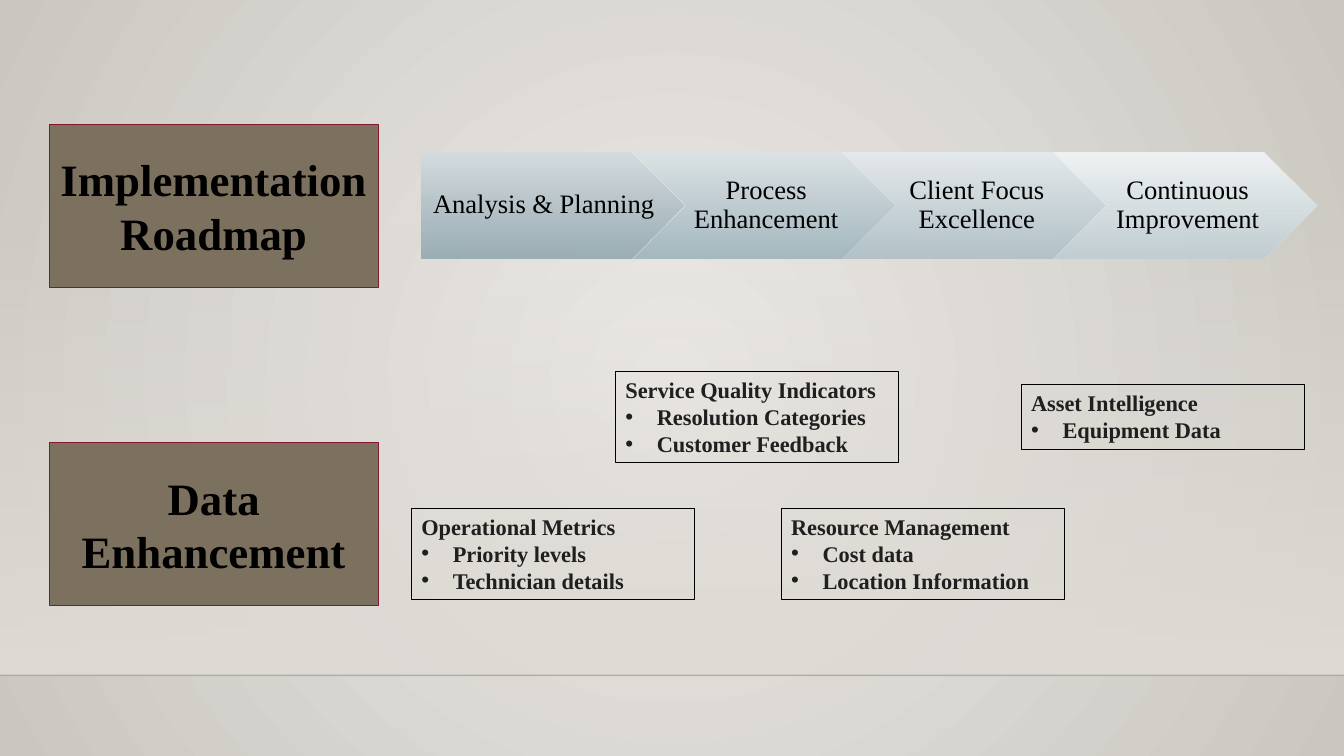
from lxml import etree
from pptx import Presentation
from pptx import util as u
from pptx.dml import color
from pptx.enum import shapes, text
from pptx.oxml.ns import qn

FONT = "Times New Roman"
KIND = shapes.MSO_SHAPE
ALIGN = text.PP_ALIGN
ANCHOR = text.MSO_ANCHOR

STAGES = [
    ("Analysis & Planning", "D5DCDF", "96AAB3"),
    ("Process Enhancement", "DCE3E6", "A1B6BE"),
    ("Client Focus Excellence", "E5EAEC", "B0C1C8"),
    ("Continuous Improvement", "F0F3F4", "C0CED3"),
]
TITLES = [("Implementation Roadmap", 88.6), ("Data Enhancement", 316.1)]
CARDS = [
    (293.8, 362.9, 65.5, "Operational Metrics", ["Priority levels", "Technician details"]),
    (439.6, 265.2, 65.5, "Service Quality Indicators",
     ["Resolution Categories", "Customer Feedback"]),
    (558, 362.9, 65.5, "Resource Management", ["Cost data", "Location Information"]),
    (729.4, 274.7, 46.1, "Asset Intelligence", ["Equipment Data"]),
]


def rgb(code):
    return color.RGBColor.from_string(code)


def child(node, tag, **attrs):
    return etree.SubElement(node, qn(tag), attrs)


def fade(fill, root, stops, radial=False):
    """Fill with (percent, colour, opacity) stops, downward or from the centre."""
    fill.gradient()
    grad = next(root.iter(qn("a:gradFill")))
    for old in list(grad):
        grad.remove(old)
    group = child(grad, "a:gsLst")
    for pos, code, alpha in stops:
        stop = child(group, "a:gs", pos=str(pos * 1000))
        tone = child(stop, "a:srgbClr", val=code)
        if alpha < 100:
            child(tone, "a:alpha", val=str(alpha * 1000))
    if radial:
        way = child(grad, "a:path", path="circle")
        child(way, "a:fillToRect", l="50000", t="50000", r="50000", b="50000")
    else:
        child(grad, "a:lin", ang="5400000", scaled="0")


def shape(slide, kind, x, y, w, h, fill=None, stops=None, line=None, width=0.75):
    item = slide.shapes.add_shape(kind, u.Pt(x), u.Pt(y), u.Pt(w), u.Pt(h))
    item.shadow.inherit = False
    if stops:
        fade(item.fill, item.element, stops)
    elif fill:
        item.fill.solid()
        item.fill.fore_color.rgb = rgb(fill)
    else:
        item.fill.background()
    if line:
        item.line.color.rgb = rgb(line)
        item.line.width = u.Pt(width)
    else:
        item.line.fill.background()
    return item


def write(item, lines, size, ink="000000", bold=False, align=ALIGN.CENTER,
          anchor=ANCHOR.MIDDLE, space=None, pads=None):
    """Write the lines; every line after the first is a bullet."""
    frame = item.text_frame
    frame.word_wrap = True
    frame.vertical_anchor = anchor
    if pads:
        (frame.margin_left, frame.margin_top,
         frame.margin_right, frame.margin_bottom) = map(u.Pt, pads)
    for i, words in enumerate(lines):
        para = frame.add_paragraph() if i else frame.paragraphs[0]
        para.alignment = align
        para.line_spacing = space
        run = para.add_run()
        run.text = words
        font = run.font
        font.name, font.size, font.bold = FONT, u.Pt(size), bold
        font.color.rgb = rgb(ink)
        if i:
            bullet(para)


def bullet(para):
    props = para._p.get_or_add_pPr()
    indent = int(u.Pt(22.5))
    props.set("marL", str(indent))
    props.set("indent", str(-indent))
    child(props, "a:buFont", typeface="Arial")
    child(props, "a:buChar", char="•")


def rule(slide, y):
    line = slide.shapes.add_connector(
        shapes.MSO_CONNECTOR.STRAIGHT, 0, u.Pt(y), u.Pt(960), u.Pt(y))
    line.line.width = u.Pt(1)
    line.line.color.rgb = rgb("000001")
    tone = next(line.element.iter(qn("a:srgbClr")))
    child(tone, "a:alpha", val="20000")
    child(line.element.spPr, "a:effectLst")


def stage(slide, i, label, top, base):
    kind = KIND.CHEVRON if i else KIND.PENTAGON
    item = shape(slide, kind, 301 + i * 150.5, 108.7, 187.9, 75.6,
                 stops=[(0, top, 100), (100, base, 92)])
    write(item, [label], 19, space=0.9, pads=(5.7 if i else 7.6, 4, 2, 4))


def title(slide, label, y):
    item = shape(slide, KIND.RECTANGLE, 35.3, y, 234.7, 116.6,
                 fill="7C705E", line="871631", width=0.5)
    write(item, [label], 32, bold=True)


def card(slide, x, y, h, head, points):
    item = shape(slide, KIND.RECTANGLE, x, y, 202.3, h, line="000000")
    write(item, [head, *points], 16, ink="1F1F1F", bold=True,
          align=ALIGN.LEFT, anchor=ANCHOR.TOP)
    item.text_frame.auto_size = text.MSO_AUTO_SIZE.SHAPE_TO_FIT_TEXT


def main():
    deck = Presentation()
    deck.slide_width, deck.slide_height = u.Pt(960), u.Pt(540)
    slide = deck.slides.add_slide(deck.slide_layouts[6])
    fade(slide.background.fill, slide.element,
         [(0, "ECEAE7", 100), (100, "CAC7C1", 100)], radial=True)
    shape(slide, KIND.RECTANGLE, 0, 159.1, 960, 323.3,
          stops=[(0, "DFDBD5", 0), (100, "DFDBD5", 100)])
    rule(slide, 482.4)
    for i, item in enumerate(STAGES):
        stage(slide, i, *item)
    for item in TITLES:
        title(slide, *item)
    for item in CARDS:
        card(slide, *item)
    deck.save("out.pptx")


if __name__ == "__main__":
    main()
